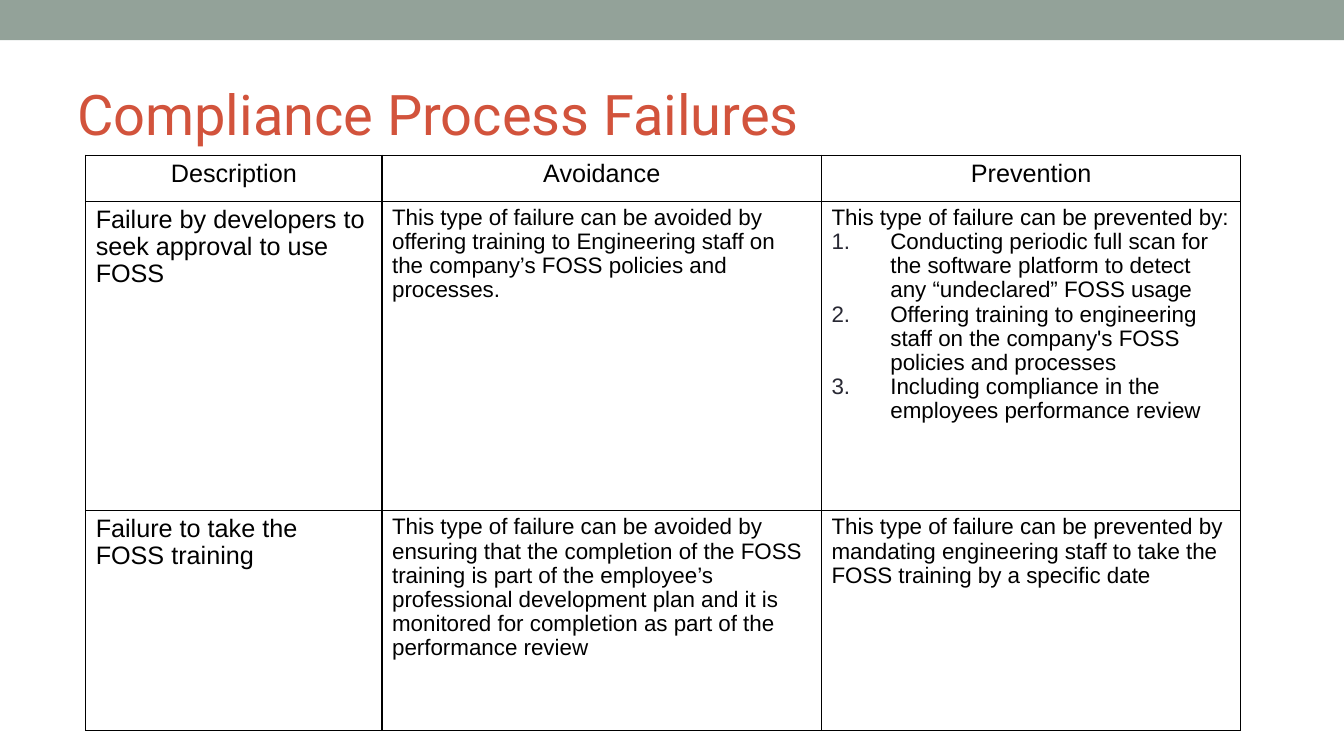
from lxml import etree
from pptx import Presentation
from pptx.dml.color import RGBColor
from pptx.enum import shapes, text
from pptx.oxml import ns
from pptx.util import Pt

# Content: each cell is a list of paragraphs, "#" starts a numbered item
TITLE = "Compliance Process Failures"
ROWS = [
    [["Description"], ["Avoidance"], ["Prevention"]],
    [
        ["Failure by developers to seek approval to use FOSS"],
        ["This type of failure can be avoided by offering training to Engineering "
         "staff on the company’s FOSS policies and processes."],
        ["This type of failure can be prevented by:",
         "#Conducting periodic full scan for the software platform to detect any "
         "“undeclared” FOSS usage",
         "#Offering training to engineering staff on the company's FOSS policies "
         "and processes",
         "#Including compliance in the employees performance review"],
    ],
    [
        ["Failure to take the FOSS training"],
        ["This type of failure can be avoided by ensuring that the completion of the "
         "FOSS training is part of the employee’s professional development plan and "
         "it is monitored for completion as part of the performance review"],
        ["This type of failure can be prevented by mandating engineering staff to "
         "take the FOSS training by a specific date"],
    ],
]

# Layout and formats, in points
SLIDE_SIZE = (960, 540)
BAND_HEIGHT = 28.8
TITLE_BOX = (48, 41.8, 864, 77.8)
TABLE_CORNER = (61.2, 110.9)
COLUMN_WIDTHS = [211.7, 313.9, 299.5]
ROW_HEIGHTS = [32.8, 221, 157.2]
NUMBER_INDENT = 42
LINE_SPACING = 0.97
TITLE_FONT = {"name": "Roboto", "size": Pt(40), "bold": False}
LABEL_FONT = {"name": "Arial", "size": Pt(18), "bold": False}
DETAIL_FONT = {"name": "Arial", "size": Pt(16), "bold": False}


def paint(color_format, hex_color):
    color_format.rgb = RGBColor.from_string(hex_color)


def style(font, font_format, hex_color):
    for attribute, value in font_format.items():
        setattr(font, attribute, value)
    paint(font.color, hex_color)


def add_element(parent, tag, **attributes):
    return etree.SubElement(parent, ns.qn(tag), attributes)


def number(paragraph):
    properties = paragraph._p.get_or_add_pPr()
    properties.set("marL", str(Pt(NUMBER_INDENT)))
    properties.set("indent", str(-Pt(NUMBER_INDENT)))
    add_element(add_element(properties, "a:buClr"), "a:srgbClr", val="292934")
    add_element(properties, "a:buFont", typeface="Arial")
    add_element(properties, "a:buAutoNum", type="arabicPeriod")


def outline(cell):
    properties = cell._tc.get_or_add_tcPr()
    for side in ("a:lnL", "a:lnR", "a:lnT", "a:lnB"):
        border = add_element(properties, side, w=str(Pt(1)))
        add_element(add_element(border, "a:solidFill"), "a:srgbClr", val="000000")
    cell.fill.background()


def fill_cell(cell, paragraphs, font_format, alignment):
    outline(cell)
    frame = cell.text_frame
    for index, line in enumerate(paragraphs):
        paragraph = frame.add_paragraph() if index else frame.paragraphs[0]
        if line.startswith("#"):
            number(paragraph)
        paragraph.alignment = alignment
        paragraph.line_spacing = LINE_SPACING
        run = paragraph.add_run()
        run.text = line.removeprefix("#")
        style(run.font, font_format, "000000")


def main():
    deck = Presentation()
    deck.slide_width, deck.slide_height = map(Pt, SLIDE_SIZE)
    slide = deck.slides.add_slide(deck.slide_layouts[6])

    # Top band
    band = slide.shapes.add_shape(
        shapes.MSO_SHAPE.RECTANGLE, 0, 0, deck.slide_width, Pt(BAND_HEIGHT))
    band.shadow.inherit = False
    band.fill.solid()
    paint(band.fill.fore_color, "93A299")
    band.line.fill.background()

    # Title
    title = slide.shapes.add_textbox(*map(Pt, TITLE_BOX)).text_frame
    title.word_wrap = True
    title.vertical_anchor = text.MSO_ANCHOR.MIDDLE
    heading = title.paragraphs[0].add_run()
    heading.text = TITLE
    style(heading.font, TITLE_FONT, "D2533C")

    # Failures table
    failures = slide.shapes.add_table(
        len(ROWS), len(COLUMN_WIDTHS), *map(Pt, TABLE_CORNER),
        Pt(sum(COLUMN_WIDTHS)), Pt(sum(ROW_HEIGHTS))).table
    failures.first_row = failures.horz_banding = False
    for column, width in zip(failures.columns, COLUMN_WIDTHS):
        column.width = Pt(width)
    for r, (row, height) in enumerate(zip(ROWS, ROW_HEIGHTS)):
        failures.rows[r].height = Pt(height)
        alignment = text.PP_ALIGN.LEFT if r else text.PP_ALIGN.CENTER
        for c, paragraphs in enumerate(row):
            font_format = DETAIL_FONT if r and c else LABEL_FONT
            fill_cell(failures.cell(r, c), paragraphs, font_format, alignment)

    deck.save("out.pptx")


if __name__ == "__main__":
    main()
